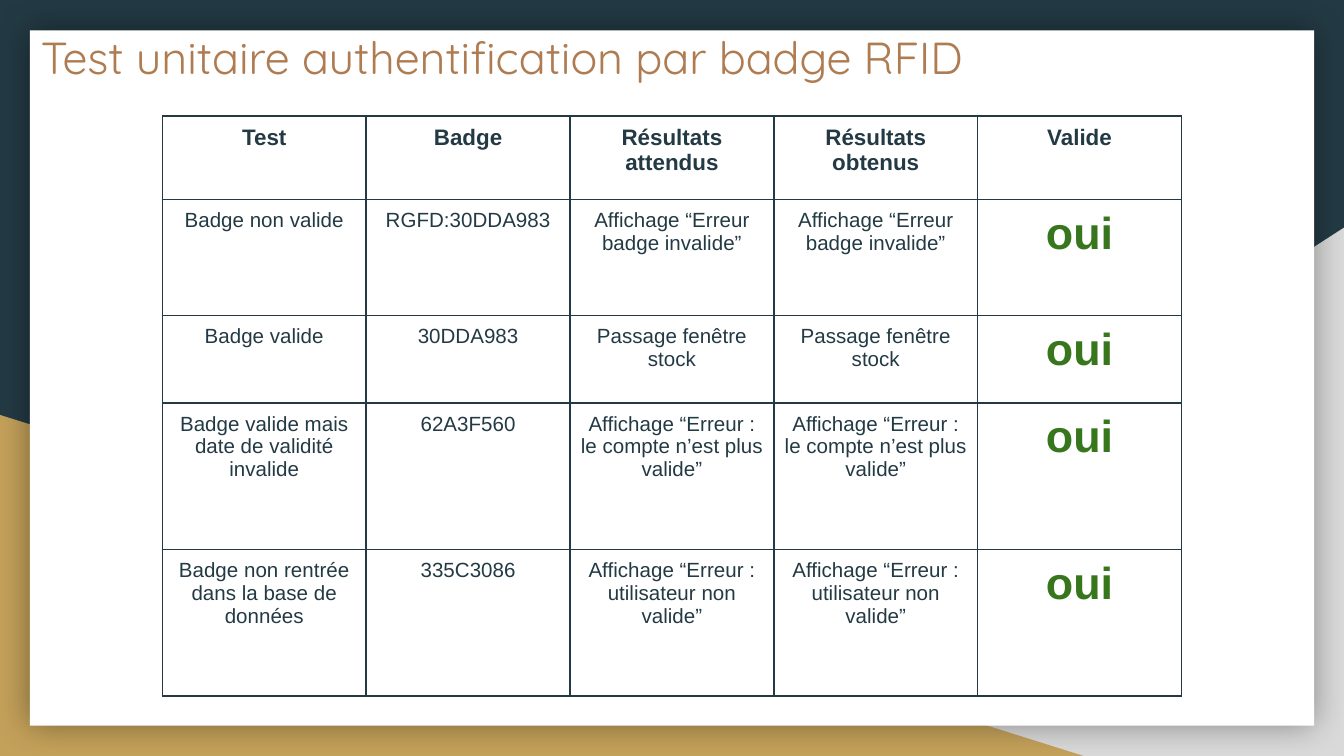
from lxml.etree import SubElement
from pptx import Presentation
from pptx.dml.color import RGBColor
from pptx.enum.shapes import MSO_SHAPE
from pptx.enum.text import MSO_ANCHOR, MSO_AUTO_SIZE, PP_ALIGN
from pptx.oxml import parse_xml
from pptx.oxml.ns import nsdecls, qn
from pptx.util import Pt

NAVY = RGBColor(0x23, 0x3A, 0x44)
GREY = RGBColor(0xD9, 0xD9, 0xD9)
GOLD = RGBColor(0xC4, 0xA1, 0x5A)
WHITE = RGBColor(0xFF, 0xFF, 0xFF)
COPPER = RGBColor(0xAF, 0x7B, 0x51)
GREEN = RGBColor(0x38, 0x76, 0x1D)

HEADINGS = ("Test", "Badge", "Résultats attendus", "Résultats obtenus", "Valide")
TESTS = (
    ("Badge non valide", "RGFD:30DDA983", "Affichage “Erreur badge invalide”"),
    ("Badge valide", "30DDA983", "Passage fenêtre stock"),
    ("Badge valide mais date de validité invalide", "62A3F560",
     "Affichage “Erreur : le compte n’est plus valide”"),
    ("Badge non rentrée dans la base de données", "335C3086",
     "Affichage “Erreur : utilisateur non valide”"),
)
ROW_HEIGHTS = (45, 62, 47, 78.5, 78.5)
COLUMN_WIDTH = 109.2


class SlideBuilder:
    title_font = "Quicksand"
    body_font = "Arial"
    cell_margin = Pt(5)

    def __init__(self, deck):
        self.page = deck.slides.add_slide(deck.slide_layouts[5])

    def background(self, color):
        fill = self.page.background.fill
        fill.solid()
        fill.fore_color.rgb = color

    def shape(self, kind, left, top, width, height, color):
        shape = self.page.shapes.add_shape(
            kind, Pt(left), Pt(top), Pt(width), Pt(height))
        shape.fill.solid()
        shape.fill.fore_color.rgb = color
        shape.line.fill.background()
        shape.shadow.inherit = False
        return shape

    def flipped_triangle(self, left, top, width, height, color):
        triangle = self.shape(MSO_SHAPE.RIGHT_TRIANGLE, left, top, width, height, color)
        triangle.element.spPr.find(qn("a:xfrm")).set("flipH", "1")

    def sheet(self, left, top, width, height):
        sheet = self.shape(MSO_SHAPE.RECTANGLE, left, top, width, height, WHITE)
        effects = sheet.element.spPr.find(qn("a:effectLst"))
        shadow = SubElement(effects, qn("a:outerShdw"), blurRad=str(Pt(18)),
                            dist="0", dir="0", algn="ctr", rotWithShape="0")
        color = SubElement(shadow, qn("a:srgbClr"), val="000000")
        SubElement(color, qn("a:alpha"), val="40000")

    def format(self, para, name, size, color, align, bold=False):
        para.alignment = align
        para.font.name = name
        para.font.size = Pt(size)
        para.font.color.rgb = color
        para.font.bold = bold

    def title(self, text, left, top, width, height):
        box = self.page.shapes.title
        self.page.shapes.element.append(box.element)
        box.left, box.top, box.width, box.height = Pt(left), Pt(top), Pt(width), Pt(height)
        frame = box.text_frame
        frame.text = text
        frame.word_wrap = True
        frame.auto_size = MSO_AUTO_SIZE.NONE
        frame.vertical_anchor = MSO_ANCHOR.TOP
        frame.margin_left = frame.margin_right = Pt(7.2)
        frame.margin_top = frame.margin_bottom = Pt(7.2)
        self.format(frame.paragraphs[0], self.title_font, 24, COPPER, PP_ALIGN.LEFT)

    def borders(self, cell):
        properties = cell._tc.get_or_add_tcPr()
        for index, side in enumerate("LRTB"):
            properties.insert(index, parse_xml(
                f'<a:ln{side} {nsdecls("a")} w="{Pt(1)}"><a:solidFill>'
                f'<a:srgbClr val="{NAVY}"/></a:solidFill></a:ln{side}>'))

    def cell(self, cell, text, size, color, bold):
        cell.text = text
        cell.margin_left = cell.margin_right = self.cell_margin
        cell.margin_top = cell.margin_bottom = self.cell_margin
        cell.fill.background()
        self.format(cell.text_frame.paragraphs[0], self.body_font, size, color,
                    PP_ALIGN.CENTER, bold)
        self.borders(cell)

    def table(self, left, top, headings, tests):
        frame = self.page.shapes.add_table(
            len(tests) + 1, len(headings), Pt(left), Pt(top),
            Pt(COLUMN_WIDTH * len(headings)), Pt(sum(ROW_HEIGHTS)))
        table = frame.table
        table.first_row = table.horz_banding = False
        for column in table.columns:
            column.width = Pt(COLUMN_WIDTH)
        for row, height in zip(table.rows, ROW_HEIGHTS):
            row.height = Pt(height)
        for column, heading in enumerate(headings):
            self.cell(table.cell(0, column), heading, 12, NAVY, True)
        for row, (test, badge, result) in enumerate(tests, 1):
            for column, text in enumerate((test, badge, result, result)):
                self.cell(table.cell(row, column), text, 11, NAVY, False)
            self.cell(table.cell(row, 4), "oui", 24, GREEN, True)


def main():
    deck = Presentation()
    deck.slide_width, deck.slide_height = Pt(720), Pt(405)
    slide = SlideBuilder(deck)
    slide.background(NAVY)
    slide.flipped_triangle(282, 122, 438, 283, GREY)
    slide.shape(MSO_SHAPE.RIGHT_TRIANGLE, 0, 222.3, 580.5, 182.7, GOLD)
    slide.sheet(16, 16.2, 688, 372.5)
    slide.title("Test unitaire authentification par badge RFID", 14.7, 8.6, 619, 75)
    slide.table(87, 62, HEADINGS, TESTS)
    deck.save("out.pptx")


if __name__ == "__main__":
    main()
